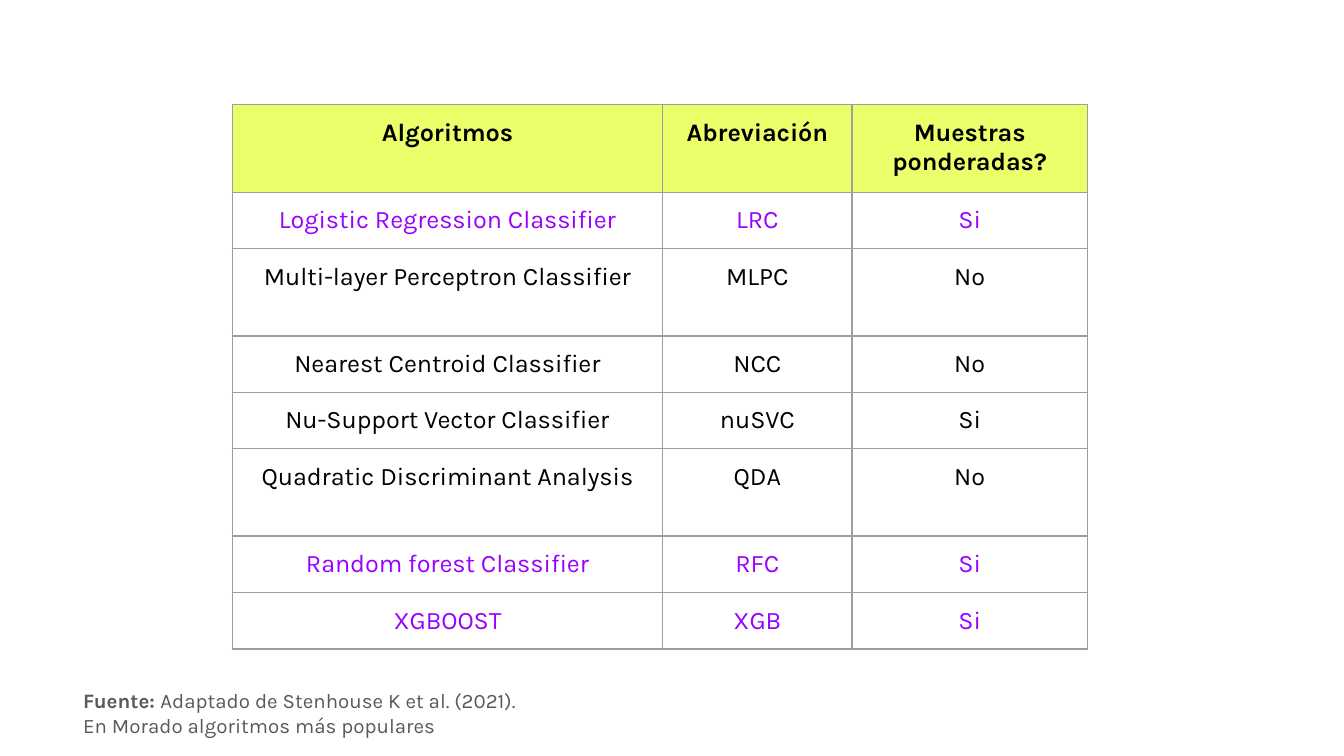
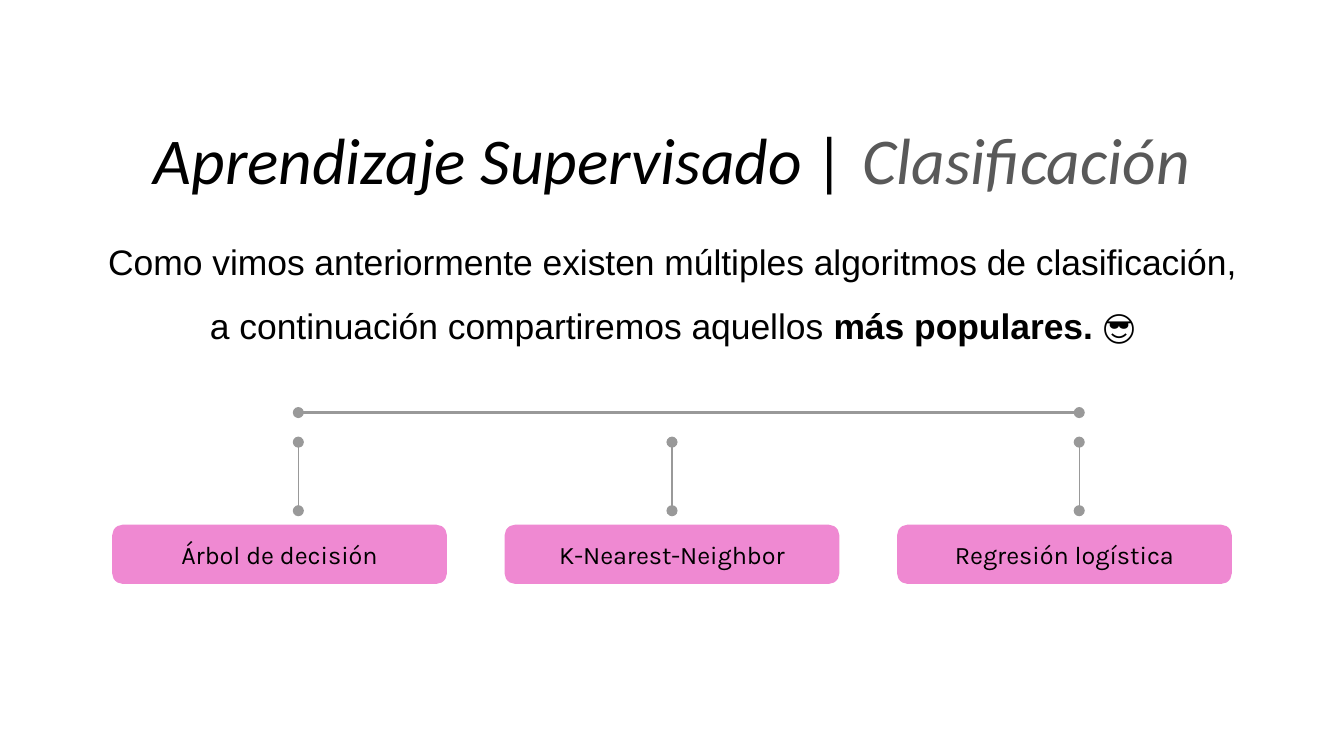
from dataclasses import dataclass
from lxml.etree import SubElement
from pptx import Presentation
from pptx.dml.color import RGBColor
from pptx.enum.shapes import MSO_CONNECTOR, MSO_SHAPE
from pptx.enum.text import MSO_ANCHOR, MSO_AUTO_SIZE, PP_ALIGN
from pptx.oxml.ns import qn
from pptx.util import Inches, Pt


@dataclass(frozen=True)
class Theme:
    ink: str = "000000"
    muted: str = "595959"
    popular: str = "9900FF"
    header: str = "EAFF6A"
    border: str = "9E9E9E"
    line: str = "999999"
    box: str = "EF89D2"
    font: str = "Karla"
    title_font: str = "Calibri"
    body_font: str = "Arial"
    label_size: float = 13.5
    source_size: float = 11
    body_size: float = 19
    title_size: float = 35


T = Theme()

HEADERS = ("Algoritmos", "Abreviación", "Muestras ponderadas?")
ALGORITHMS = [
    ("Logistic Regression Classifier", "LRC", "Si"),
    ("Multi-layer Perceptron Classifier", "MLPC", "No"),
    ("Nearest Centroid Classifier", "NCC", "No"),
    ("Nu-Support Vector Classifier", "nuSVC", "Si"),
    ("Quadratic Discriminant Analysis", "QDA", "No"),
    ("Random forest Classifier", "RFC", "Si"),
    ("XGBOOST", "XGB", "Si"),
]
POPULAR = {"LRC", "RFC", "XGB"}
TALL = {"Abreviación", "MLPC", "QDA"}
COL_WIDTHS = (3.2, 1.41, 1.75)
ROW_HEIGHT, TALL_HEIGHT = 0.42, 0.65

SOURCE = [
    [("Fuente: ", {"bold": True}), ("Adaptado de Stenhouse K et al. (2021).", {})],
    [("En Morado algoritmos más populares", {})],
]
TITLE = [[("Aprendizaje Supervisado | ", {}), ("Clasificación", {"color": T.muted})]]
INTRO = [[
    ("Como vimos anteriormente existen múltiples algoritmos de clasificación, "
     "a continuación compartiremos aquellos ", {}),
    ("más populares. 😎", {"bold": True}),
]]

METHODS = ["Árbol de decisión", "K-Nearest-Neighbor", "Regresión logística"]
STEM_XS = (2.22, 5, 8.03)
BAR_Y, STEM_TOP, STEM_BOTTOM = 3.07, 3.29, 3.8
BOX_LEFT, BOX_TOP, BOX_W, BOX_H, BOX_STEP = 0.84, 3.91, 2.48, 0.43, 2.92


def rgb(color):
    return RGBColor.from_string(color)


def style(r, size, font=T.font, color=T.ink, bold=False, italic=False):
    f = r.font
    f.size, f.name, f.bold, f.italic = Pt(size), font, bold, italic
    f.color.rgb = rgb(color)


def set_margins(obj, x=0.1, y=0.1):
    obj.margin_left = obj.margin_right = Inches(x)
    obj.margin_top = obj.margin_bottom = Inches(y)


def set_label(tf, text, **fmt):
    tf.text = text
    p = tf.paragraphs[0]
    p.alignment = PP_ALIGN.CENTER
    style(p.runs[0], T.label_size, **fmt)


def add_text(s, box, paragraphs, align=PP_ALIGN.LEFT, spacing=None,
             inset_y=0.1, grow=False, **base):
    tf = s.shapes.add_textbox(*map(Inches, box)).text_frame
    tf.word_wrap = True
    tf.auto_size = MSO_AUTO_SIZE.SHAPE_TO_FIT_TEXT if grow else MSO_AUTO_SIZE.NONE
    set_margins(tf, y=inset_y)
    for i, runs in enumerate(paragraphs):
        p = tf.add_paragraph() if i else tf.paragraphs[0]
        p.alignment, p.line_spacing = align, spacing
        for text, fmt in runs:
            r = p.add_run()
            r.text = text
            style(r, **{**base, **fmt})


def add_borders(cell):
    tc_pr = cell._tc.get_or_add_tcPr()
    for side in ("lnL", "lnR", "lnT", "lnB"):
        ln = SubElement(tc_pr, qn(f"a:{side}"), w=str(Pt(0.75)))
        SubElement(SubElement(ln, qn("a:solidFill")), qn("a:srgbClr"), val=T.border)


def add_algorithm_table(s):
    rows = [HEADERS, *ALGORITHMS]
    heights = [TALL_HEIGHT if row[1] in TALL else ROW_HEIGHT for row in rows]
    size = (sum(COL_WIDTHS), sum(heights))
    table = s.shapes.add_table(len(rows), len(HEADERS),
                               *map(Inches, (1.73, 0.78, *size))).table
    table.first_row = table.horz_banding = False
    for col, width in zip(table.columns, COL_WIDTHS):
        col.width = Inches(width)
    for i, (row, height) in enumerate(zip(rows, heights)):
        table.rows[i].height = Inches(height)
        color = T.popular if row[1] in POPULAR else T.ink
        for j, text in enumerate(row):
            cell = table.cell(i, j)
            set_margins(cell)
            add_borders(cell)
            if i:
                cell.fill.background()
            else:
                cell.fill.solid()
                cell.fill.fore_color.rgb = rgb(T.header)
            set_label(cell.text_frame, text, color=color, bold=i == 0)


def add_dotted_line(s, start, end, width):
    cx = s.shapes.add_connector(MSO_CONNECTOR.STRAIGHT, *map(Inches, (*start, *end)))
    cx.line.color.rgb = rgb(T.line)
    cx.line.width = Pt(width)
    ln = cx.line._get_or_add_ln()
    for end_tag in ("a:headEnd", "a:tailEnd"):
        SubElement(ln, qn(end_tag), type="oval")
    SubElement(cx._element.spPr, qn("a:effectLst"))


def add_method_box(s, left, text):
    sp = s.shapes.add_shape(MSO_SHAPE.ROUNDED_RECTANGLE,
                            *map(Inches, (left, BOX_TOP, BOX_W, BOX_H)))
    sp.shadow.inherit = False
    sp.adjustments[0] = 0.17
    sp.fill.solid()
    sp.fill.fore_color.rgb = sp.line.color.rgb = rgb(T.box)
    sp.line.width = Pt(0.75)
    tf = sp.text_frame
    tf.word_wrap = True
    tf.vertical_anchor = MSO_ANCHOR.MIDDLE
    set_margins(tf)
    set_label(tf, text)


def build_algorithms(s):
    add_algorithm_table(s)
    add_text(s, (0.52, 5.02, 6.36, 0.57), SOURCE, grow=True,
             size=T.source_size, color=T.muted)


def build_classification(s):
    add_text(s, (0.66, 1.58, 8.69, 0.9), INTRO, PP_ALIGN.CENTER, 1.5,
             inset_y=0.05, grow=True, size=T.body_size, font=T.body_font)
    add_text(s, (0.71, 0.7, 8.58, 0.76), TITLE, PP_ALIGN.CENTER, 1.15,
             size=T.title_size, font=T.title_font, italic=True)
    add_dotted_line(s, (STEM_XS[0], BAR_Y), (STEM_XS[-1], BAR_Y), 1.5)
    for x in STEM_XS:
        add_dotted_line(s, (x, STEM_TOP), (x, STEM_BOTTOM), 0.75)
    for i, method in enumerate(METHODS):
        add_method_box(s, BOX_LEFT + i * BOX_STEP, method)


def main():
    prs = Presentation()
    prs.slide_width = Inches(10)
    prs.slide_height = prs.slide_width * 9 // 16
    for build in (build_algorithms, build_classification):
        build(prs.slides.add_slide(prs.slide_layouts[6]))
    prs.save("out.pptx")


if __name__ == "__main__":
    main()
